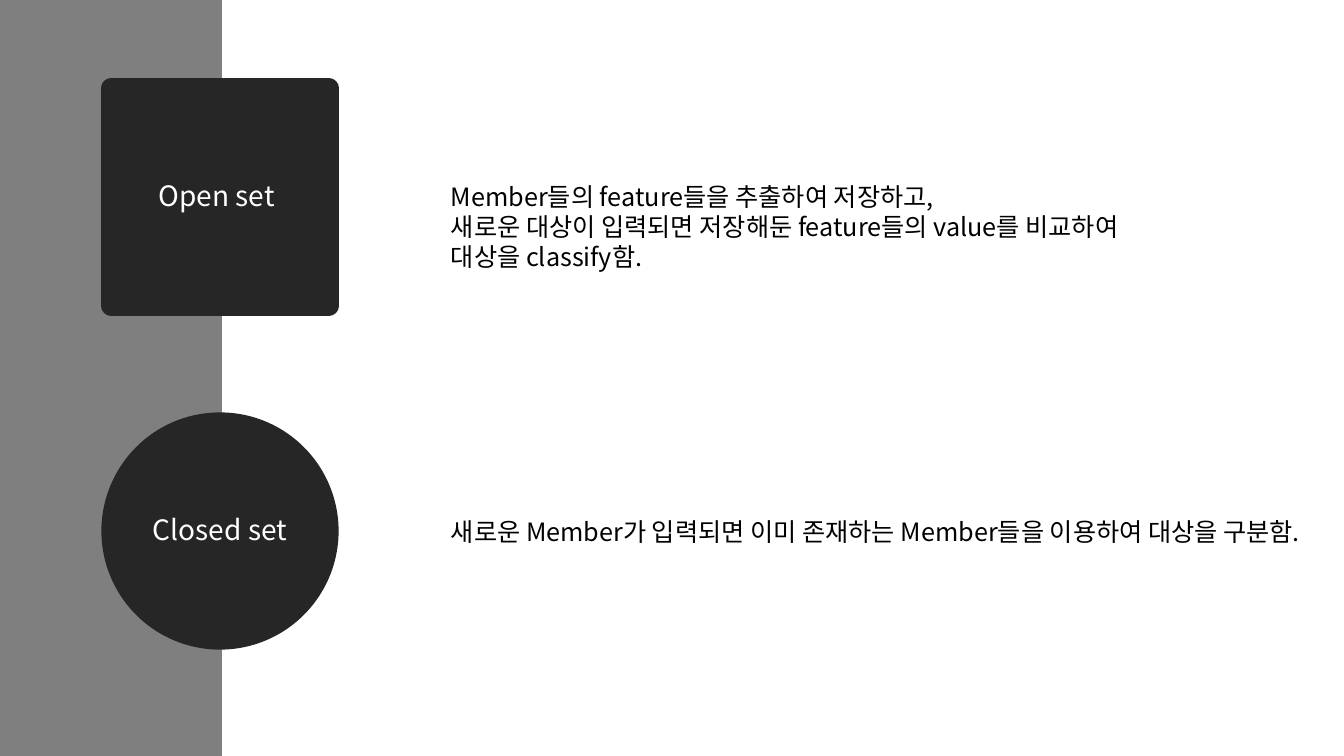
from lxml import etree
from pptx import Presentation
from pptx.dml.color import RGBColor
from pptx.enum.shapes import MSO_SHAPE
from pptx.enum.text import MSO_ANCHOR, MSO_AUTO_SIZE, PP_ALIGN
from pptx.oxml.ns import qn
from pptx.util import Emu, Pt

RECT, OVAL = MSO_SHAPE.RECTANGLE, MSO_SHAPE.OVAL
MIDDLE, CENTER, LEFT = MSO_ANCHOR.MIDDLE, PP_ALIGN.CENTER, PP_ALIGN.LEFT
NO_FIT, FIT_SHAPE = MSO_AUTO_SIZE.NONE, MSO_AUTO_SIZE.SHAPE_TO_FIT_TEXT
WHITE = RGBColor(0xFF, 0xFF, 0xFF)
BLACK = RGBColor(0x00, 0x00, 0x00)
GRAY = RGBColor(0x7F, 0x7F, 0x7F)
DARK = RGBColor(0x26, 0x26, 0x26)
SCALE = 914400 / 100.8


def px(value):
    return Emu(round(value * SCALE))


class Deck:
    label_font, body_font = "Noto Sans CJK KR", "Noto Sans CJK SC"
    label_size, body_size, border = 20, 18, 13.75

    def __init__(self, width, height):
        self.prs = Presentation()
        self.prs.slide_width, self.prs.slide_height = px(width), px(height)
        self.s = self.prs.slides.add_slide(self.prs.slide_layouts[5])

    def set_text(self, tf, lines, font, size, color, align, spacing=1.0):
        tf.text = "\n".join(lines)
        for p in tf.paragraphs:
            p.alignment, p.line_spacing = align, spacing
            p.font.name, p.font.size = font, Pt(size)
            p.font.color.rgb = color
            rpr = p._p.pPr.find(qn("a:defRPr"))
            etree.SubElement(rpr, qn("a:ea")).set("typeface", font)

    def band(self, x, y, w, h, color):
        sp = self.s.shapes.add_shape(RECT, px(x), px(y), px(w), px(h))
        sp.shadow.inherit = False
        sp.fill.solid()
        sp.fill.fore_color.rgb = color
        sp.line.fill.background()
        self.s.shapes.title._element.addprevious(sp._element)

    def badge(self, sp, text):
        sp.fill.solid()
        sp.fill.fore_color.rgb = DARK
        sp.line.color.rgb = DARK
        sp.line.width = Pt(self.border)
        tf = sp.text_frame
        tf.vertical_anchor, tf.word_wrap, tf.auto_size = MIDDLE, True, NO_FIT
        self.set_text(tf, [text], self.label_font, self.label_size, WHITE, CENTER, 0.9)

    def title(self, x, y, size, text):
        sp = self.s.shapes.title
        sp.left, sp.top, sp.width, sp.height = px(x), px(y), px(size), px(size)
        self.badge(sp, text)

    def circle(self, x, y, size, text):
        sp = self.s.shapes.add_shape(OVAL, px(x), px(y), px(size), px(size))
        sp.shadow.inherit = False
        self.badge(sp, text)

    def text(self, x, y, w, h, lines):
        tf = self.s.shapes.add_textbox(px(x), px(y), px(w), px(h)).text_frame
        tf.word_wrap, tf.auto_size = False, FIT_SHAPE
        self.set_text(tf, lines, self.body_font, self.body_size, BLACK, LEFT)


BADGE_X, BADGE_SIZE, TEXT_X = 111, 218, 441

deck = Deck(1344, 756)
deck.band(0, 0, 222, 756, GRAY)
deck.title(BADGE_X, 88, BADGE_SIZE, "Open set ")
deck.circle(BADGE_X, 422, BADGE_SIZE, "Closed set")
deck.text(TEXT_X, 176, 731, 102, [
    "Member들의 feature들을 추출하여 저장하고,",
    "새로운 대상이 입력되면 저장해둔 feature들의 value를 비교하여",
    "대상을 classify함.",
])
deck.text(TEXT_X, 511, 928, 40, [
    "새로운 Member가 입력되면 이미 존재하는 Member들을 이용하여 대상을 구분함.",
])
deck.prs.save("out.pptx")
